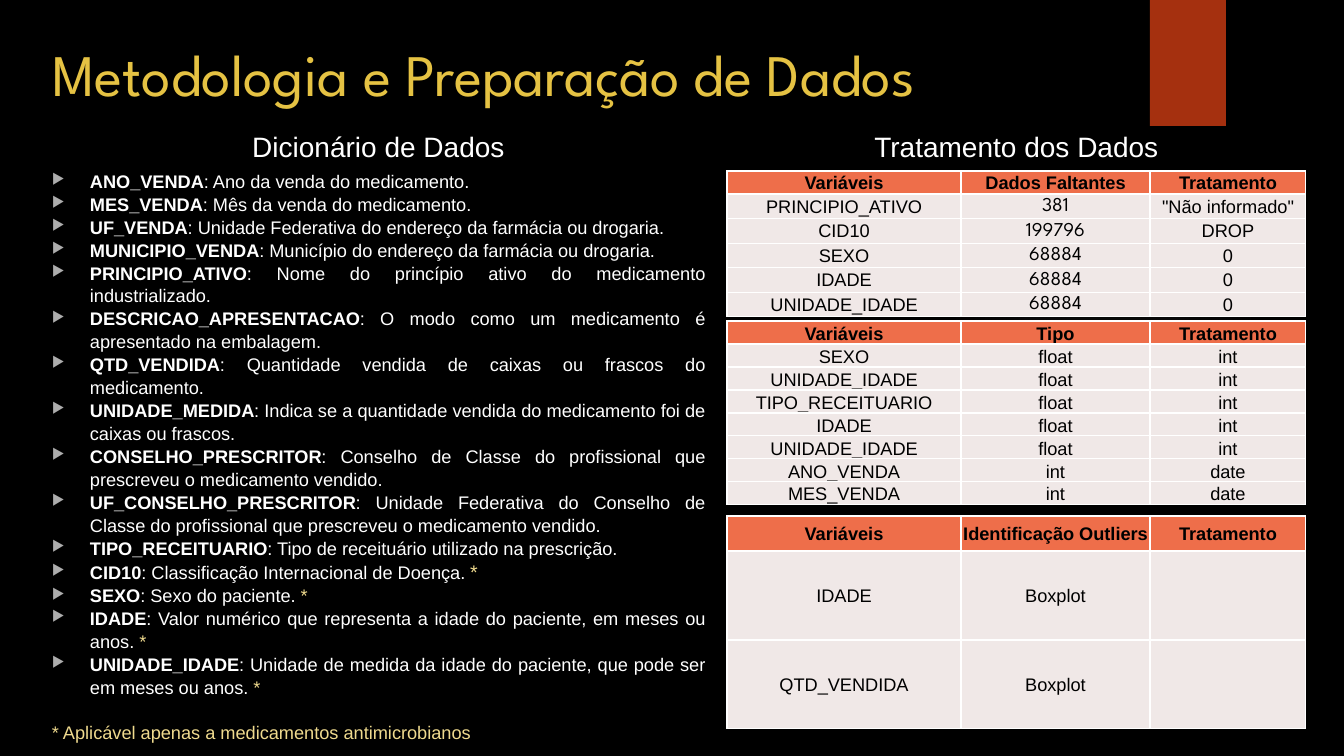
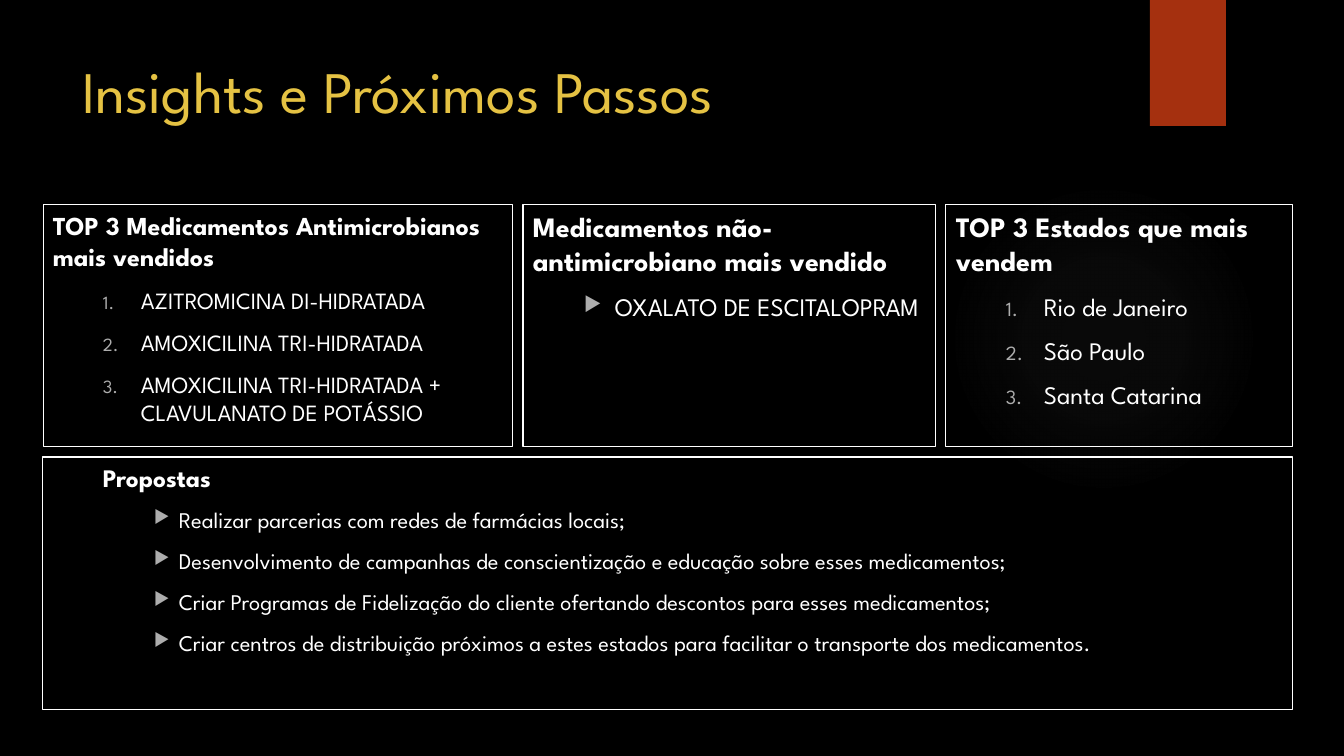
"""Builds two slides on data preparation and insights."""
from dataclasses import dataclass
from itertools import product
from typing import Optional

from pptx import Presentation
from pptx.dml.color import RGBColor
from pptx.enum.shapes import MSO_SHAPE
from pptx.enum.text import MSO_ANCHOR, MSO_AUTO_SIZE, PP_ALIGN
from pptx.oxml import parse_xml
from pptx.oxml.ns import nsdecls, qn
from pptx.slide import Slide
from pptx.text.text import TextFrame
from pptx.util import Emu, Pt

LEFT, CENTER, JUSTIFY = PP_ALIGN.LEFT, PP_ALIGN.CENTER, PP_ALIGN.JUSTIFY
TOP, MIDDLE, BOTTOM = MSO_ANCHOR.TOP, MSO_ANCHOR.MIDDLE, MSO_ANCHOR.BOTTOM
RECT, OVAL = MSO_SHAPE.RECTANGLE, MSO_SHAPE.OVAL
NO_FIT = MSO_AUTO_SIZE.NONE
NUMBERED, ARROW = "1.", "▶"


@dataclass(frozen=True)
class Theme:
    """Colours, fonts and type sizes of the deck."""
    back: str = "000000"
    ink: str = "FFFFFF"
    title: str = "E5C243"
    note: str = "EFDA8E"
    band: str = "A5300F"
    glow: str = "848484"
    bullet: str = "ADADAD"
    head_fill: str = "EE6E4A"
    cell_fill: str = "F0E8E7"
    cell_ink: str = "000000"
    display: str = "League Spartan"
    sans: str = "Arial"
    title_size: float = 42
    heading_size: float = 20
    body_size: float = 13
    number_size: float = 14


T = Theme()


@dataclass(frozen=True)
class Box:
    """A rectangle in px."""
    x: int
    y: int
    w: int
    h: int


@dataclass(frozen=True)
class Run:
    """A stretch of text with one look."""
    text: str
    size: float = T.body_size
    color: str = T.ink
    bold: bool = False
    font: str = T.sans


@dataclass(frozen=True)
class Para:
    """A paragraph; left and hang are in px, before is in points."""
    runs: list[Run]
    align: PP_ALIGN = LEFT
    bullet: Optional[str] = None
    left: int = 0
    hang: int = 0
    before: float = 0
    spacing: float = 1.0


@dataclass(frozen=True)
class Grid:
    """A table whose first row is the header."""
    y: int
    heights: list[int]
    rows: list[list[str]]
    anchor: MSO_ANCHOR = MIDDLE


@dataclass(frozen=True)
class Panel:
    """An outlined box with a heading and a list."""
    box: Box
    heading: str
    heading_size: float
    items: list[str]
    item_size: float
    bullet: str
    left: int
    hang: int
    heading_left: int = 0
    heading_before: float = 10


DICTIONARY = [
    ("ANO_VENDA", "Ano da venda do medicamento."),
    ("MES_VENDA", "Mês da venda do medicamento."),
    ("UF_VENDA", "Unidade Federativa do endereço da farmácia ou drogaria."),
    ("MUNICIPIO_VENDA", "Município do endereço da farmácia ou drogaria."),
    ("PRINCIPIO_ATIVO", "Nome do princípio ativo do medicamento industrializado."),
    ("DESCRICAO_APRESENTACAO", "O modo como um medicamento é apresentado na embalagem."),
    ("QTD_VENDIDA", "Quantidade vendida de caixas ou frascos do medicamento."),
    ("UNIDADE_MEDIDA", "Indica se a quantidade vendida do medicamento foi de caixas ou frascos."),
    ("CONSELHO_PRESCRITOR", "Conselho de Classe do profissional que prescreveu o medicamento vendido."),
    ("UF_CONSELHO_PRESCRITOR",
     "Unidade Federativa do Conselho de Classe do profissional que prescreveu o medicamento vendido."),
    ("TIPO_RECEITUARIO", "Tipo de receituário utilizado na prescrição."),
    ("CID10", "Classificação Internacional de Doença. *"),
    ("SEXO", "Sexo do paciente. *"),
    ("IDADE", "Valor numérico que representa a idade do paciente, em meses ou anos. *"),
    ("UNIDADE_IDADE", "Unidade de medida da idade do paciente, que pode ser em meses ou anos. *"),
]
STAR_SIZES = {"CID10": 14}
GRID_X, GRID_COLS = 727, [234, 189, 156]
GRIDS = [
    Grid(171, [23, 23, 23, 13, 23, 23], [
        ["Variáveis", "Dados Faltantes", "Tratamento"],
        ["PRINCIPIO_ATIVO", "381", '"Não informado"'],
        ["CID10", "199796", "DROP"],
        ["SEXO", "68884", "0"],
        ["IDADE", "68884", "0"],
        ["UNIDADE_IDADE", "68884", "0"]]),
    Grid(321, [23] * 8, [
        ["Variáveis", "Tipo", "Tratamento"],
        ["SEXO", "float", "int"],
        ["UNIDADE_IDADE", "float", "int"],
        ["TIPO_RECEITUARIO", "float", "int"],
        ["IDADE", "float", "int"],
        ["UNIDADE_IDADE", "float", "int"],
        ["ANO_VENDA", "int", "date"],
        ["MES_VENDA", "int", "date"]], BOTTOM),
    Grid(516, [35, 89, 89], [
        ["Variáveis", "Identificação Outliers", "Tratamento"],
        ["IDADE", "Boxplot", ""],
        ["QTD_VENDIDA", "Boxplot", ""]]),
]
PANEL_X, PANEL_Y, PANEL_H, GAP = 43, 205, 242, 10
PANEL_WIDTHS = [470, 413, 347]
TOP_BOXES = [Box(PANEL_X + sum(PANEL_WIDTHS[:i]) + i * GAP, PANEL_Y, w, PANEL_H)
             for i, w in enumerate(PANEL_WIDTHS)]
WIDE_BOX = Box(PANEL_X, PANEL_Y + PANEL_H + GAP, sum(PANEL_WIDTHS) + 2 * GAP, 253)
PANELS = [
    Panel(TOP_BOXES[0], "TOP 3 Medicamentos Antimicrobianos mais vendidos", 18.5,
          ["AZITROMICINA DI-HIDRATADA", "AMOXICILINA TRI-HIDRATADA",
           "AMOXICILINA TRI-HIDRATADA + CLAVULANATO DE POTÁSSIO"], 16.6, NUMBERED, 88, 38),
    Panel(TOP_BOXES[1], "Medicamentos não-antimicrobiano mais vendido", 20,
          ["OXALATO DE ESCITALOPRAM"], 18, ARROW, 82, 31),
    Panel(TOP_BOXES[2], "TOP 3 Estados que mais vendem", 20,
          ["Rio de Janeiro", "São Paulo", "Santa Catarina"], 18, NUMBERED, 88, 38),
    Panel(WIDE_BOX, "Propostas", 18,
          ["Realizar parcerias com redes de farmácias locais;",
           "Desenvolvimento de campanhas de conscientização e educação sobre esses medicamentos;",
           "Criar Programas de Fidelização do cliente ofertando descontos para esses medicamentos;",
           "Criar centros de distribuição próximos a estes estados para facilitar o transporte dos medicamentos."],
          16, ARROW, 126, 25, 50, 18),
]


def px(n: int) -> Emu:
    """Turns px into EMU."""
    return Emu(round(n * 12192000 / 1344))


def place(box: Box) -> tuple[Emu, Emu, Emu, Emu]:
    """Gives left, top, width and height in EMU."""
    return px(box.x), px(box.y), px(box.w), px(box.h)


def write(tf: TextFrame, paras: list[Para]) -> None:
    """Fills a text frame with paragraphs, run by run."""
    for i, para in enumerate(paras):
        p = tf.add_paragraph() if i else tf.paragraphs[0]
        p.alignment = para.align
        p.space_before, p.line_spacing = Pt(para.before), para.spacing
        pPr = p._p.get_or_add_pPr()
        pPr.set("marL", str(px(para.left)))
        pPr.set("indent", str(-px(para.hang)))
        if para.bullet:
            mark = ('<a:buAutoNum {} type="arabicPeriod"/>' if para.bullet == NUMBERED
                    else f'<a:buChar {{}} char="{para.bullet}"/>')
            for xml in (f'<a:buClr {{}}><a:srgbClr val="{T.bullet}"/></a:buClr>',
                        '<a:buSzPct {} val="80000"/>', mark):
                pPr.append(parse_xml(xml.format(nsdecls("a"))))
        for run in para.runs:
            r = p.add_run()
            r.text = run.text
            r.font.name, r.font.size, r.font.bold = run.font, Pt(run.size), run.bold
            r.font.color.rgb = RGBColor.from_string(run.color)


def add_text(s: Slide, box: Box, paras: list[Para], outlined: bool = False) -> None:
    """Adds a wrapping text box, with a thin outline if asked."""
    sp = s.shapes.add_textbox(*place(box))
    sp.text_frame.word_wrap = True
    if outlined:
        sp.line.color.rgb = RGBColor.from_string(T.ink)
        sp.line.width = Pt(0.75)
    write(sp.text_frame, paras)


def add_decor(s: Slide) -> None:
    """Draws the soft glow and the red band."""
    glow = s.shapes.add_shape(OVAL, *place(Box(949, 184, 310, 310)))
    band = s.shapes.add_shape(RECT, *place(Box(1150, 0, 76, 126)))
    for sp in (glow, band):
        sp.shadow.inherit = False
        sp.line.fill.background()
    band.fill.solid()
    band.fill.fore_color.rgb = RGBColor.from_string(T.band)
    stops = "".join(
        f'<a:gs pos="{pos}000"><a:srgbClr val="{T.glow}"><a:alpha val="{alpha}000"/></a:srgbClr></a:gs>'
        for pos, alpha in ((0, 7), (36, 6), (69, 0)))
    glow.fill.background()
    spPr = glow.element.spPr
    spPr.replace(spPr.find(qn("a:noFill")), parse_xml(
        f'<a:gradFill {nsdecls("a")}><a:gsLst>{stops}</a:gsLst><a:path path="circle">'
        '<a:fillToRect l="50000" t="50000" r="50000" b="50000"/></a:path></a:gradFill>'))


def new_slide(prs: Presentation, title: str, box: Box) -> Slide:
    """Adds a slide with the shared decor and title style."""
    s = prs.slides.add_slide(prs.slide_layouts[5])
    add_decor(s)
    sp = s.shapes.title
    sp.left, sp.top, sp.width, sp.height = place(box)
    tf = sp.text_frame
    tf.word_wrap, tf.auto_size, tf.vertical_anchor = True, NO_FIT, TOP
    write(tf, [Para([Run(title, T.title_size, T.title, font=T.display)])])
    return s


def add_grid(s: Slide, grid: Grid) -> None:
    """Draws a table with white rules and centred text."""
    box = Box(GRID_X, grid.y, sum(GRID_COLS), sum(grid.heights))
    table = s.shapes.add_table(len(grid.rows), len(GRID_COLS), *place(box)).table
    table.horz_banding = False
    for col, w in zip(table.columns, GRID_COLS):
        col.width = px(w)
    for row, h in zip(table.rows, grid.heights):
        row.height = px(h)
    for i, j in product(range(len(grid.rows)), range(len(GRID_COLS))):
        cell, text, head = table.cell(i, j), grid.rows[i][j], i == 0
        cell.margin_left = cell.margin_right = cell.margin_top = px(1)
        cell.margin_bottom = 0
        cell.vertical_anchor = grid.anchor
        cell.fill.solid()
        cell.fill.fore_color.rgb = RGBColor.from_string(T.head_fill if head else T.cell_fill)
        tcPr = cell._tc.get_or_add_tcPr()
        for k, side in enumerate("LRTB"):
            tcPr.insert(k, parse_xml(
                f'<a:ln{side} {nsdecls("a")} w="12700"><a:solidFill>'
                f'<a:srgbClr val="{T.ink}"/></a:solidFill></a:ln{side}>'))
        if text:
            number = j == 1 and text.isdigit()
            size, font = (T.number_size, T.display) if number else (T.body_size, T.sans)
            write(cell.text_frame, [Para([Run(text, size, T.cell_ink, head, font)], CENTER)])


def dictionary_para(name: str, meaning: str) -> Para:
    """Makes one dictionary entry, with its star in the note colour."""
    plain = meaning.removesuffix("*")
    runs = [Run(name, bold=True), Run(f": {plain}")]
    if plain != meaning:
        runs.append(Run("*", STAR_SIZES.get(name, T.body_size), T.note))
    return Para(runs, JUSTIFY, ARROW, 38, 38, spacing=1.05)


def add_panel(s: Slide, panel: Panel) -> None:
    """Draws an outlined panel with its list."""
    heading = Run(panel.heading, panel.heading_size, bold=True, font=T.display)
    paras = [Para([heading], left=panel.heading_left, before=panel.heading_before)]
    paras += [Para([Run(item, panel.item_size, font=T.display)], bullet=panel.bullet,
                   left=panel.left, hang=panel.hang, before=10) for item in panel.items]
    add_text(s, panel.box, paras, outlined=True)


def data_slide(prs: Presentation) -> None:
    """Builds the slide on method and data preparation."""
    s = new_slide(prs, "Metodologia e Preparação de Dados", Box(42, 33, 1263, 112))
    for text, x, w in (("Dicionário de Dados", 42, 673),
                       ("Tratamento dos Dados", GRID_X, sum(GRID_COLS))):
        add_text(s, Box(x, 125, w, 44), [Para([Run(text, T.heading_size)], CENTER)])
    note = Run("* Aplicável apenas a medicamentos antimicrobianos", color=T.note)
    paras = [dictionary_para(*entry) for entry in DICTIONARY]
    add_text(s, Box(42, 164, 673, 565), paras + [Para([note], JUSTIFY, before=15.6, spacing=1.05)])
    for grid in GRIDS:
        add_grid(s, grid)


def insights_slide(prs: Presentation) -> None:
    """Builds the slide on insights and next steps."""
    s = new_slide(prs, "Insights e Próximos Passos", Box(72, 50, 1037, 154))
    for panel in PANELS:
        add_panel(s, panel)


def main() -> None:
    """Builds and saves the deck."""
    prs = Presentation()
    prs.slide_width, prs.slide_height = px(1344), px(756)
    back = prs.slide_master.background.fill
    back.solid()
    back.fore_color.rgb = RGBColor.from_string(T.back)
    data_slide(prs)
    insights_slide(prs)
    prs.save("out.pptx")


if __name__ == "__main__":
    main()
